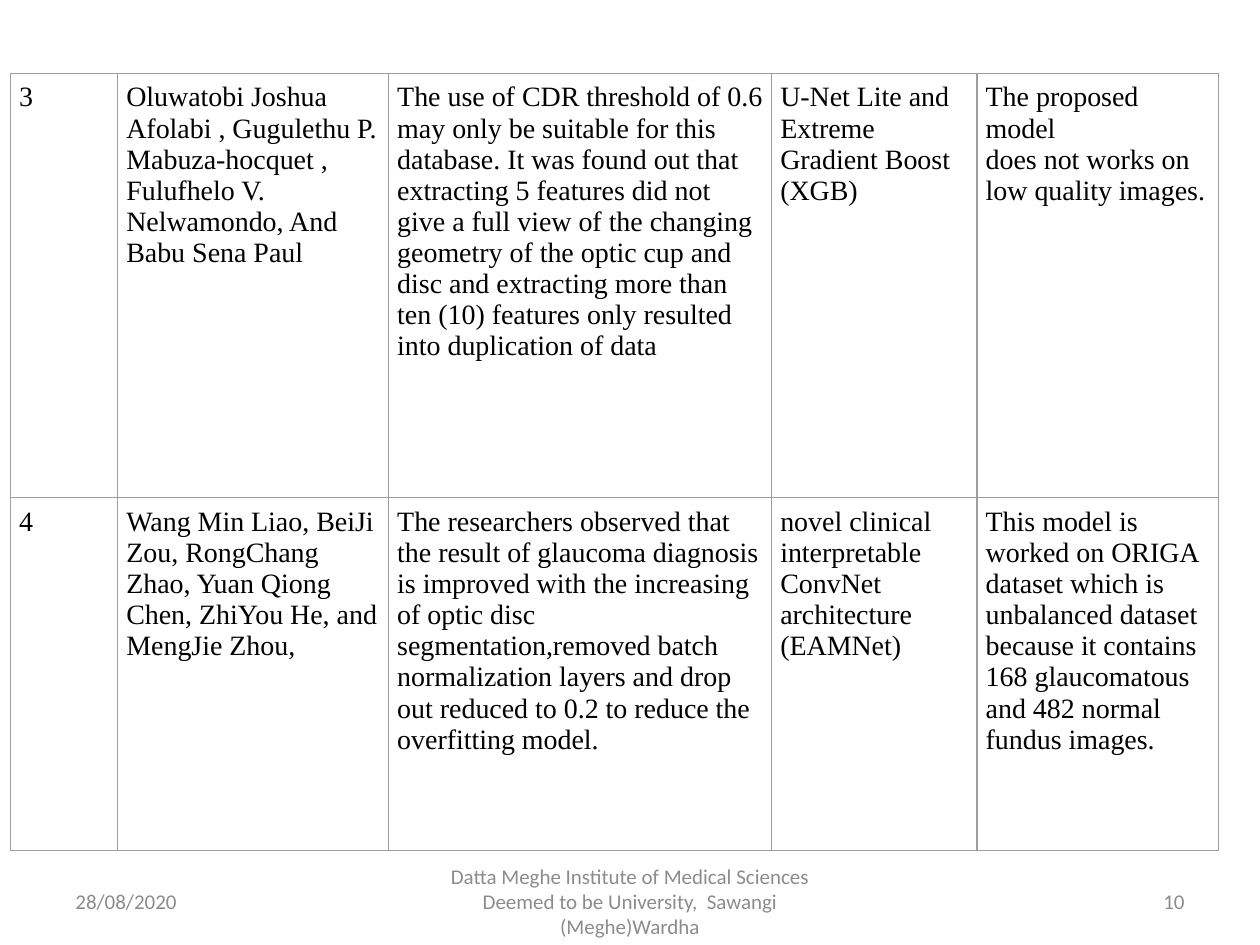
"""Build a literature review table slide with a footer."""
from lxml.etree import SubElement as Sub
from pptx import Presentation
from pptx.dml.color import RGBColor as Rgb
from pptx.enum.text import MSO_ANCHOR as Anchor, PP_ALIGN as Align
from pptx.oxml.ns import qn
from pptx.util import Pt

HUES = {"ink": "000000", "foot": "8C8C8C", "rule": "9E9E9E"}


def write(frame, text, font="Times New Roman", size=16, hue="ink", align=Align.LEFT):
    frame.word_wrap = True
    frame.text = text
    for para in frame.paragraphs:
        para.alignment = align
        for run in para.runs:
            run.font.name = font
            run.font.size = Pt(size)
            run.font.color.rgb = Rgb.from_string(HUES[hue])


def rule(cell):
    props = cell._tc.get_or_add_tcPr()
    for i, side in enumerate(("lnL", "lnR", "lnT", "lnB")):
        line = Sub(props, qn(f"a:{side}"), w=str(int(Pt(0.75))))
        props.insert(i, line)
        Sub(Sub(line, qn("a:solidFill")), qn("a:srgbClr"), val=HUES["rule"])


deck = Presentation()
deck.slide_width, deck.slide_height = Pt(720), Pt(540)
slide = deck.slides.add_slide(deck.slide_layouts[6])

FOOT = [
    (36, 168, "28/08/2020", Align.LEFT),
    (246, 228, "Datta Meghe Institute of Medical Sciences Deemed to be University,  Sawangi (Meghe)Wardha", Align.CENTER),
    (516, 168, "10", Align.RIGHT),
]
for left, width, text, align in FOOT:
    box = slide.shapes.add_textbox(Pt(left), Pt(500.5), Pt(width), Pt(28.75))
    box.text_frame.vertical_anchor = Anchor.MIDDLE
    write(box.text_frame, text, font="Calibri", size=12, hue="foot", align=align)

COLS = [61.2, 154.8, 218.9, 117.4, 137.9]
ROWS = [242.6, 201.6]
PAPERS = [
    [
        "3",
        "Oluwatobi Joshua Afolabi , Gugulethu P. Mabuza-hocquet , Fulufhelo V. Nelwamondo, And Babu Sena Paul",
        "The use of CDR threshold of 0.6 may only be suitable for this database. "
        "It was found out that extracting 5 features did not give a full view of the "
        "changing geometry of the optic cup and disc and extracting more than ten (10) "
        "features only resulted into duplication of data",
        "U-Net Lite and Extreme Gradient Boost (XGB)",
        "The proposed model \ndoes not works on low quality images.",
    ],
    [
        "4",
        "Wang Min Liao, BeiJi Zou, RongChang Zhao, Yuan Qiong Chen, ZhiYou He, and MengJie Zhou,",
        "The researchers observed that the result of glaucoma diagnosis is improved "
        "with the increasing of optic disc segmentation,removed batch normalization "
        "layers and drop out reduced to 0.2 to reduce the overfitting model.",
        "novel clinical interpretable ConvNet architecture (EAMNet)",
        "This model is worked on ORIGA dataset which is unbalanced dataset because it "
        "contains 168 glaucomatous and 482 normal fundus images.",
    ],
]
grid = slide.shapes.add_table(
    len(ROWS), len(COLS), Pt(6), Pt(41.8), Pt(sum(COLS)), Pt(sum(ROWS))
).table
grid.first_row = grid.horz_banding = False
for col, width in zip(grid.columns, COLS):
    col.width = Pt(width)
for row, height, paper in zip(grid.rows, ROWS, PAPERS):
    row.height = Pt(height)
    for cell, text in zip(row.cells, paper):
        cell.margin_left = cell.margin_right = Pt(5)
        cell.margin_top = cell.margin_bottom = Pt(5)
        cell.fill.background()
        rule(cell)
        write(cell.text_frame, text)

deck.save("out.pptx")
